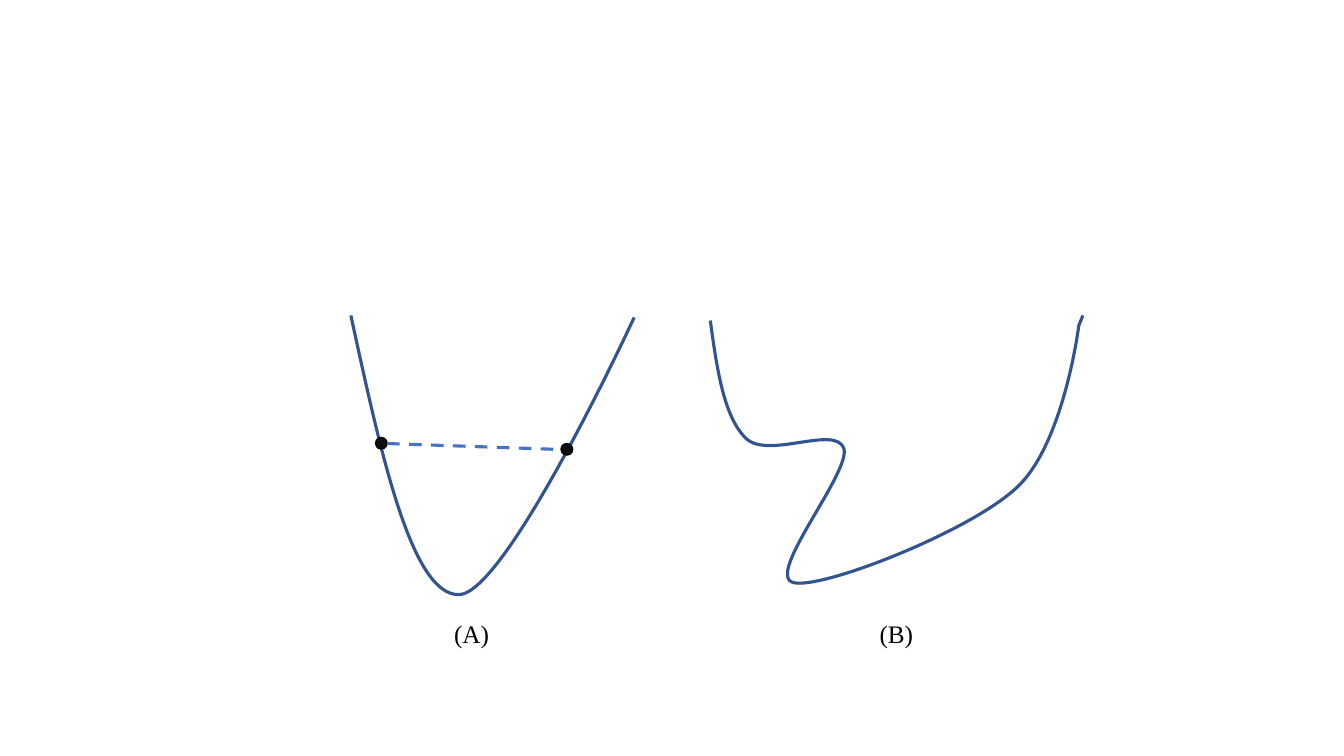
from lxml.etree import Element, SubElement
from pptx import Presentation
from pptx.dml.color import RGBColor
from pptx.enum.dml import MSO_LINE
from pptx.enum.shapes import MSO_CONNECTOR, MSO_SHAPE
from pptx.enum.text import MSO_AUTO_SIZE
from pptx.oxml.ns import qn
from pptx.util import Inches, Pt

COLORS = {"curve": "325491", "chord": "4472C4", "dot": "0D0D0D", "ink": "000000"}
FONT = "Times New Roman"
CELL = Inches(0.1)
DOT = 1.15
LABEL_ROW = 60.85

CONVEX = [(34.8, 31.3),
          (37.8, 45.1), (40.8, 59), (45.5, 59),
          (50.2, 59), (62.9, 31.5), (62.9, 31.5)]
NON_CONVEX = [(70.45, 31.8),
              (71.1, 36.6), (71.8, 41.4), (74, 43.5),
              (76.2, 45.6), (82.9, 42.1), (83.7, 44.5),
              (84.4, 46.9), (75.8, 57.1), (78.7, 57.8),
              (81.5, 58.5), (96, 52.8), (100.7, 48.5),
              (105.5, 44.3), (107, 32.3), (107, 32.3)]
NON_CONVEX_TIP = (107.4, 31.3)


def cells(*values):
    return [round(v * CELL) for v in values]


def rgb(name):
    return RGBColor.from_string(COLORS[name])


def style_line(line, color, width):
    line.color.rgb = rgb(color)
    line.width = Pt(width)


def bend(sp, segment, handles):
    segment.tag = qn("a:cubicBezTo")
    for i, handle in enumerate(handles):
        x, y = cells(*handle)
        pt = Element(qn("a:pt"), x=str(x - sp.left), y=str(y - sp.top))
        segment.insert(i, pt)


def add_curve(slide, points, *tail):
    builder = slide.shapes.build_freeform(*cells(*points[0]))
    anchors = [*points[3::3], *tail]
    builder.add_line_segments([cells(*pt) for pt in anchors], close=False)
    sp = builder.convert_to_shape()
    segments = list(sp._element.iter(qn("a:lnTo")))
    for segment, handles in zip(segments, zip(points[1::3], points[2::3])):
        bend(sp, segment, handles)
    sp.shadow.inherit = False
    sp.fill.background()
    style_line(sp.line, "curve", 2.25)


def add_dot(slide, col, row):
    sp = slide.shapes.add_shape(MSO_SHAPE.FLOWCHART_CONNECTOR,
                                *cells(col, row, DOT, DOT))
    sp.shadow.inherit = False
    sp.fill.solid()
    sp.fill.fore_color.rgb = rgb("dot")
    style_line(sp.line, "ink", 1)


def add_chord(slide, start, end):
    cxn = slide.shapes.add_connector(MSO_CONNECTOR.STRAIGHT, *cells(*start, *end))
    style_line(cxn.line, "chord", 2.25)
    cxn.line.dash_style = MSO_LINE.DASH
    SubElement(cxn._element.spPr, qn("a:effectLst"))


def add_label(slide, text, col, width):
    tf = slide.shapes.add_textbox(*cells(col, LABEL_ROW, width, 4)).text_frame
    tf.word_wrap = False
    tf.auto_size = MSO_AUTO_SIZE.SHAPE_TO_FIT_TEXT
    p = tf.paragraphs[0]
    p.text = text
    p.font.name = FONT
    p.font.size = Pt(18)
    p.font.color.rgb = rgb("ink")


def main():
    prs = Presentation()
    prs.slide_width, prs.slide_height = Inches(13.33), Inches(7.5)
    slide = prs.slides.add_slide(prs.slide_layouts[6])
    add_curve(slide, CONVEX)
    add_curve(slide, NON_CONVEX, NON_CONVEX_TIP)
    add_dot(slide, 37.25, 43.4)
    add_dot(slide, 55.65, 44)
    add_chord(slide, (38.4, 44), (55.7, 44.6))
    add_label(slide, "(A)", 44.05, 5.5)
    add_label(slide, "(B)", 86.25, 5.4)
    prs.save("out.pptx")


if __name__ == "__main__":
    main()
